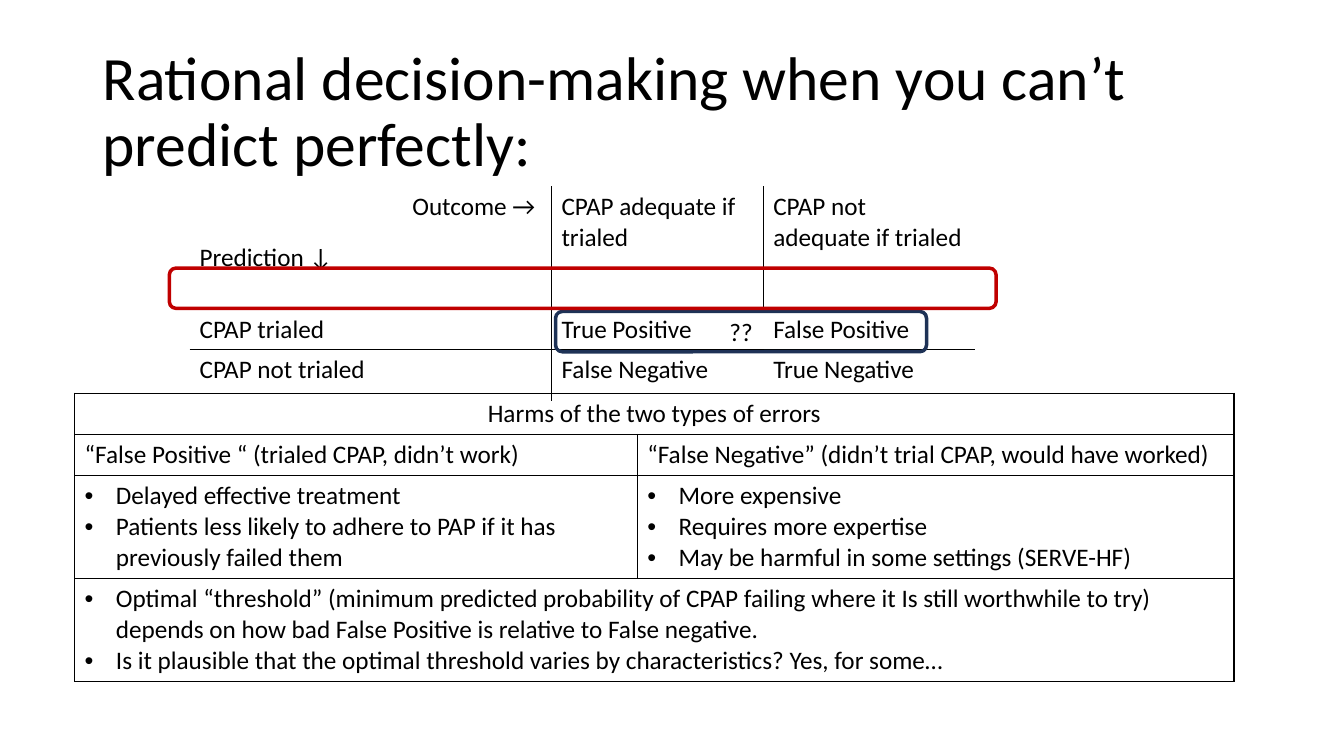
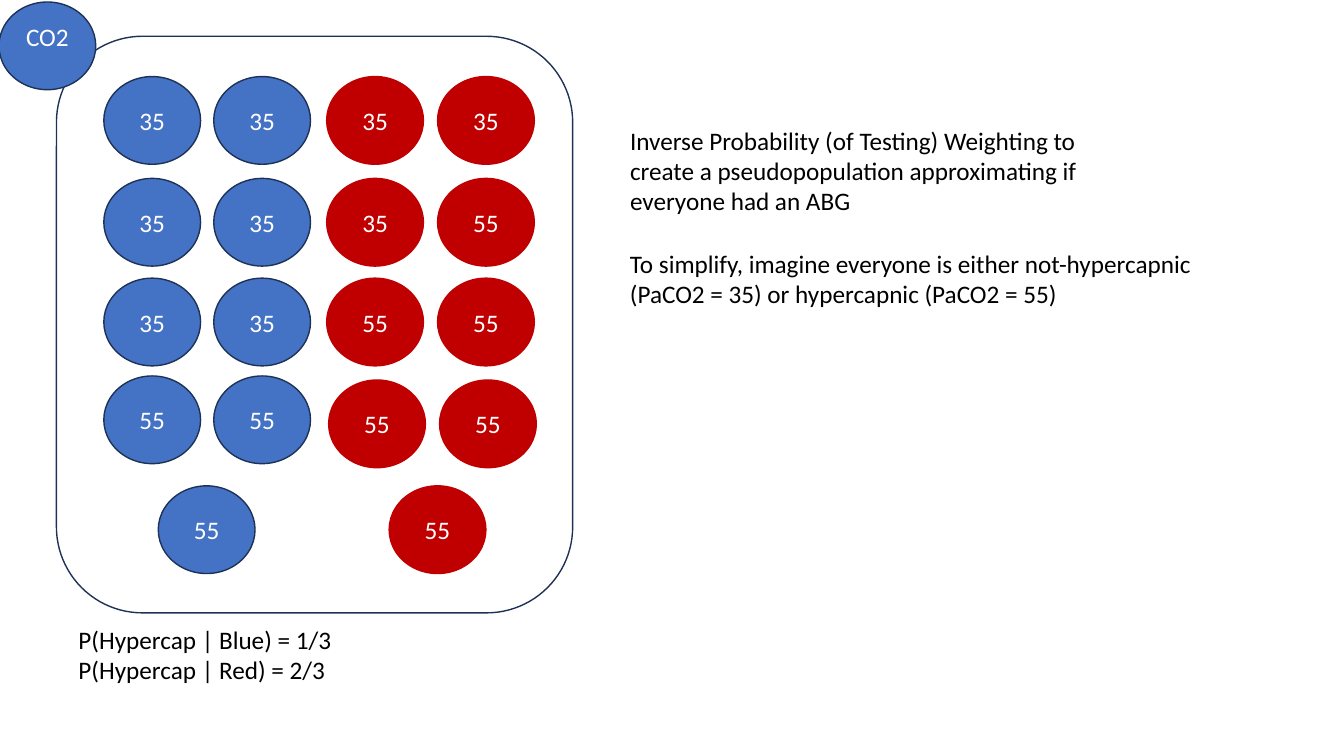
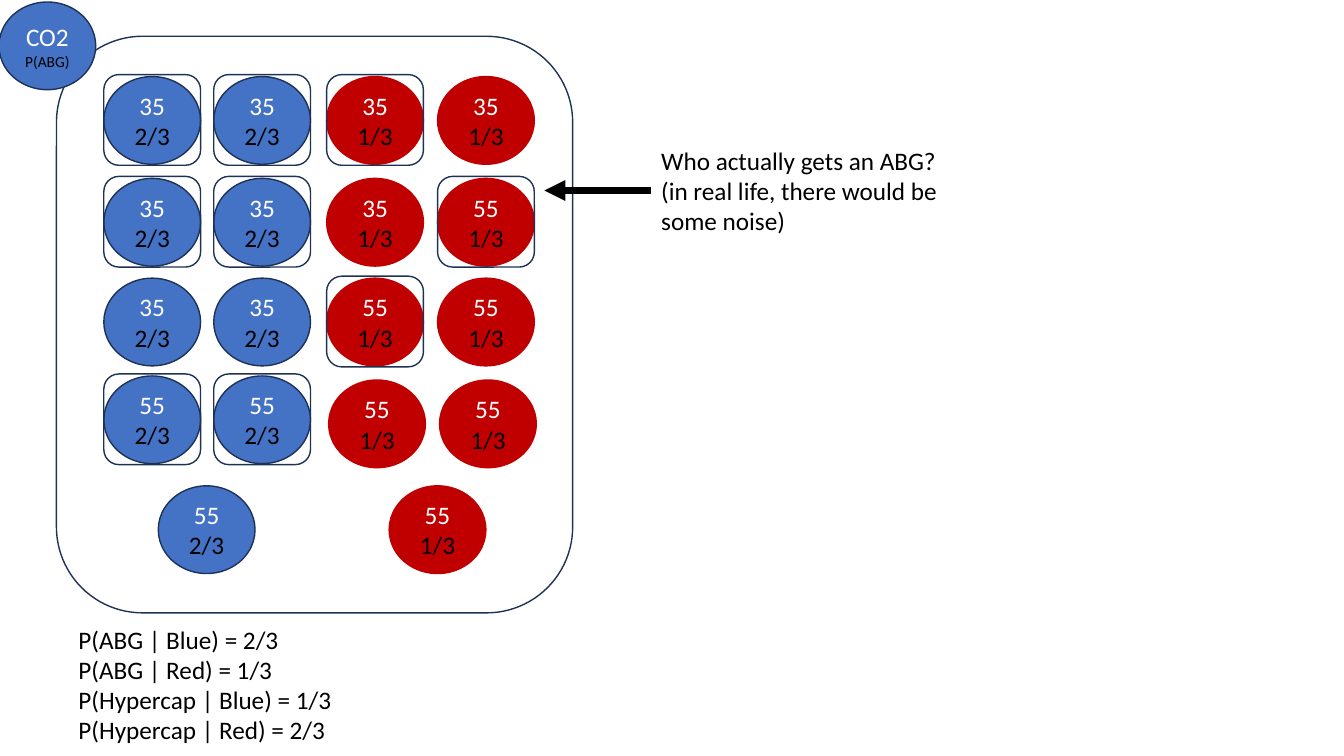
from lxml import etree
from pptx import Presentation
from pptx import util as u
from pptx.dml.color import RGBColor
from pptx.enum import shapes, text
from pptx.oxml.ns import qn

# Shared look
BLACK, WHITE, NAVY, BLUE, RED = "000000", "FFFFFF", "1E3256", "4472C4", "C00000"
FONT, BODY, SMALL = "Calibri", 18, 11
NO_GRID = "{2D5ABB26-0587-4C30-8999-92F81FD0307C}"
ROUND, OVAL = shapes.MSO_SHAPE.ROUNDED_RECTANGLE, shapes.MSO_SHAPE.OVAL
CENTER = text.PP_ALIGN.CENTER

# Slide 1 content
TITLE = "Rational decision-making when you can’t predict perfectly:"
OUTCOMES = [
    ["", "Outcome →", "CPAP adequate if trialed", "CPAP not adequate if trialed"],
    ["Prediction ↓", "", "", ""],
    ["CPAP trialed", "", "True Positive", "False Positive"],
    ["CPAP not trialed", "", "False Negative", "True Negative"],
]
OUTCOME_MERGES = [((0, 2), (1, 2)), ((0, 3), (1, 3)), ((2, 0), (2, 1)), ((3, 0), (3, 1))]
HARMS = [
    ["Harms of the two types of errors", ""],
    ["“False Positive “ (trialed CPAP, didn’t work)",
     "“False Negative” (didn’t trial CPAP, would have worked)"],
    [["Delayed effective treatment",
      "Patients less likely to adhere to PAP if it has previously failed them"],
     ["More expensive", "Requires more expertise",
      "May be harmful in some settings (SERVE-HF)"]],
    [["Optimal “threshold” (minimum predicted probability of CPAP failing where it Is "
      "still worthwhile to try) depends on how bad False Positive is relative to False negative.",
      "Is it plausible that the optimal threshold varies by characteristics? Yes, for some…"],
     ""],
]
HARM_MERGES = [((0, 0), (0, 1)), ((3, 0), (3, 1))]

# Slides 2 and 3: patients by PaCO2, two blue columns then two red ones
PACO2 = [[35, 35, 35, 35], [35, 35, 35, 55], [35, 35, 55, 55], [55, 55, 55, 55]]
COLUMNS, ROWS = (1.03, 2.12, 3.24, 4.34), (0.76, 1.77, 2.76, 3.73)
LAST_PATIENTS = [(1.57, 4.82, 55, BLUE), (3.86, 4.82, 55, RED)]
P_ABG = {BLUE: "2/3", RED: "1/3"}
TESTED = [(0, 0), (0, 1), (0, 2), (1, 0), (1, 1), (1, 3), (2, 2), (3, 0), (3, 1)]
HYPERCAP_ODDS = ["P(Hypercap | Blue) = 1/3", "P(Hypercap | Red) = 2/3"]
ABG_ODDS = ["P(ABG | Blue) = 2/3", "P(ABG | Red) = 1/3"]
WEIGHTING = ("Inverse Probability (of Testing) Weighting to create a pseudopopulation "
             "approximating if everyone had an ABG")
SIMPLIFY = ("To simplify, imagine everyone is either not-hypercapnic (PaCO2 = 35) "
            "or hypercapnic (PaCO2 = 55)")
WHO_TESTED = ["Who actually gets an ABG?", "(in real life, there would be some noise)"]


def rgb(color):
    return RGBColor.from_string(color)


def inches(values):
    return [u.Inches(value) for value in values]


def write(frame, lines, align=None, bullets=False, spacing=None):
    """Each line is a string or (string, size, colour)."""
    for i, line in enumerate(lines):
        words, size, color = (line, BODY, BLACK) if isinstance(line, str) else line
        para = frame.paragraphs[0] if i == 0 else frame.add_paragraph()
        para.alignment, para.line_spacing = align, spacing
        if bullets:
            props = para._p.get_or_add_pPr()
            indent = u.Inches(0.31)
            props.set("marL", str(indent))
            props.set("indent", str(-indent))
            etree.SubElement(props, qn("a:buFont"), typeface="Arial")
            etree.SubElement(props, qn("a:buChar"), char="•")
        run = para.add_run()
        run.text = words
        for name, value in {"name": FONT, "size": u.Pt(size)}.items():
            setattr(run.font, name, value)
        run.font.color.rgb = rgb(color)


def add_text(slide, box, lines, anchor=text.MSO_ANCHOR.TOP, **style):
    frame = slide.shapes.add_textbox(*inches(box)).text_frame
    frame.word_wrap, frame.vertical_anchor = True, anchor
    write(frame, lines, **style)


def add_outline(slide, kind, box, line=NAVY, width=1, fill=None, lines=()):
    shape = slide.shapes.add_shape(kind, *inches(box))
    shape.shadow.inherit = False
    if fill:
        shape.fill.solid()
        shape.fill.fore_color.rgb = rgb(fill)
    else:
        shape.fill.background()
    shape.line.color.rgb, shape.line.width = rgb(line), u.Pt(width)
    shape.text_frame.vertical_anchor = text.MSO_ANCHOR.MIDDLE
    write(shape.text_frame, lines, align=CENTER)
    return shape


def add_border(cell, sides):
    props = cell._tc.get_or_add_tcPr()
    for side in "LRTB":
        if side in sides:
            edge = etree.SubElement(props, qn(f"a:ln{side}"), w=str(u.Pt(1)))
            fill = etree.SubElement(edge, qn("a:solidFill"))
            etree.SubElement(fill, qn("a:srgbClr"), val=BLACK)


def add_grid(slide, left, top, widths, heights, content, merges, sides_of):
    frame = slide.shapes.add_table(len(heights), len(widths),
                                   *inches((left, top, sum(widths), sum(heights))))
    table = frame.table
    table.first_row = table.horz_banding = False
    table._tbl.tblPr.find(qn("a:tableStyleId")).text = NO_GRID
    for column, width in zip(table.columns, widths):
        column.width = u.Inches(width)
    for row, height in zip(table.rows, heights):
        row.height = u.Inches(height)
    for start, end in merges:
        table.cell(*start).merge(table.cell(*end))
    for r, row in enumerate(content):
        for c, entry in enumerate(row):
            cell = table.cell(r, c)
            add_border(cell, sides_of(r, c))
            cell.fill.background()
            bullets = isinstance(entry, list)
            if entry:
                write(cell.text_frame, entry if bullets else [entry], bullets=bullets)
    return table


def outcome_sides(r, c):
    sides = {1: "R", 2: "L"}.get(c, "")
    if r < 2:
        sides += {2: "R", 3: "L"}.get(c, "")
    return sides + {2: "B", 3: "T"}.get(r, "")


def add_patients(slide, show_odds):
    def circle(x, y, value, color, second=None):
        lines = [(str(value), BODY, WHITE)] + ([second] if second else [])
        return add_outline(slide, OVAL, (x, y, 0.96, 0.87), RED if color == RED else NAVY,
                           fill=color, lines=lines)

    add_outline(slide, ROUND, (0.56, 0.36, 5.12, 5.72))
    patients = list(LAST_PATIENTS)
    for r, (y, values) in enumerate(zip(ROWS, PACO2)):
        for c, (x, value) in enumerate(zip(COLUMNS, values)):
            color = BLUE if c < 2 else RED
            # The last red row sits slightly lower and to the right
            dx, dy = (0.02, 0.04) if r == 3 and color == RED else (0, 0)
            patients.append((x + dx, y + dy, value, color))
    for x, y, value, color in patients:
        circle(x, y, value, color, P_ABG[color] if show_odds else None)

    # Key in the corner
    key = circle(-0.01, 0.02, "CO2", BLUE, ("P(ABG)", SMALL, BLACK) if show_odds else None)
    if not show_odds:
        key.text_frame.margin_bottom = u.Inches(0.24)


def build_errors(slide):
    add_text(slide, (0.92, 0.4, 11.5, 1.45), [(TITLE, 44, BLACK)],
             text.MSO_ANCHOR.MIDDLE, spacing=0.9)
    add_grid(slide, 1.88, 1.85, (2.11, 1.48, 2.1, 2.1), (0.51, 0.71, 0.4, 0.51),
             OUTCOMES, OUTCOME_MERGES, outcome_sides)
    add_outline(slide, ROUND, (5.51, 3.09, 3.68, 0.4), width=2.5, lines=["??"])
    add_outline(slide, ROUND, (1.68, 2.66, 8.2, 0.4), RED, 2.5)
    harms = add_grid(slide, 0.74, 3.9, (5.58, 5.92), (0.41, 0.41, 1.02, 1.02),
                     HARMS, HARM_MERGES, lambda r, c: "LRTB")
    harms.cell(0, 0).text_frame.paragraphs[0].alignment = CENTER


def build_population(slide):
    add_patients(slide, show_odds=False)
    add_text(slide, (0.68, 6.14, 5.12, 0.71), HYPERCAP_ODDS)
    add_text(slide, (6.15, 1.19, 4.85, 1.01), [WEIGHTING])
    add_text(slide, (6.15, 2.41, 6.16, 0.71), [SIMPLIFY])


def build_testing(slide):
    add_patients(slide, show_odds=True)
    for r, c in TESTED:
        add_outline(slide, ROUND, (COLUMNS[c], ROWS[r] - 0.02, 0.96, 0.9))
    add_text(slide, (0.68, 6.14, 5.12, 1.31), ABG_ODDS + HYPERCAP_ODDS)
    add_text(slide, (6.46, 1.39, 3, 1.01), WHO_TESTED)
    arrow = slide.shapes.add_connector(shapes.MSO_CONNECTOR.STRAIGHT,
                                       *inches((6.46, 1.89, 5.4, 1.89)))
    arrow.line.color.rgb, arrow.line.width = rgb(BLACK), u.Pt(5)
    etree.SubElement(arrow.line._get_or_add_ln(), qn("a:tailEnd"), type="triangle")
    etree.SubElement(arrow._element.spPr, qn("a:effectLst"))


def main():
    deck = Presentation()
    deck.slide_width, deck.slide_height = inches((13.33, 7.5))
    for build in (build_errors, build_population, build_testing):
        build(deck.slides.add_slide(deck.slide_layouts[6]))
    deck.save("out.pptx")


if __name__ == "__main__":
    main()
